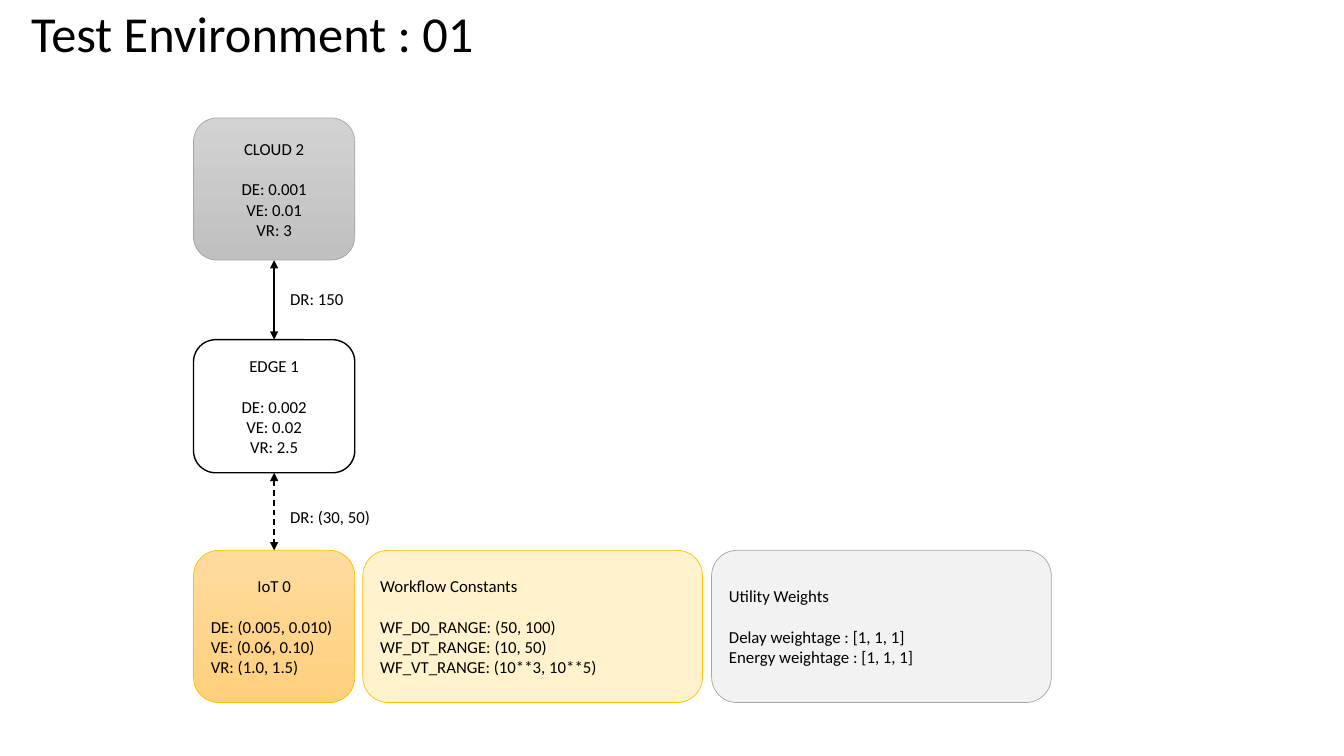
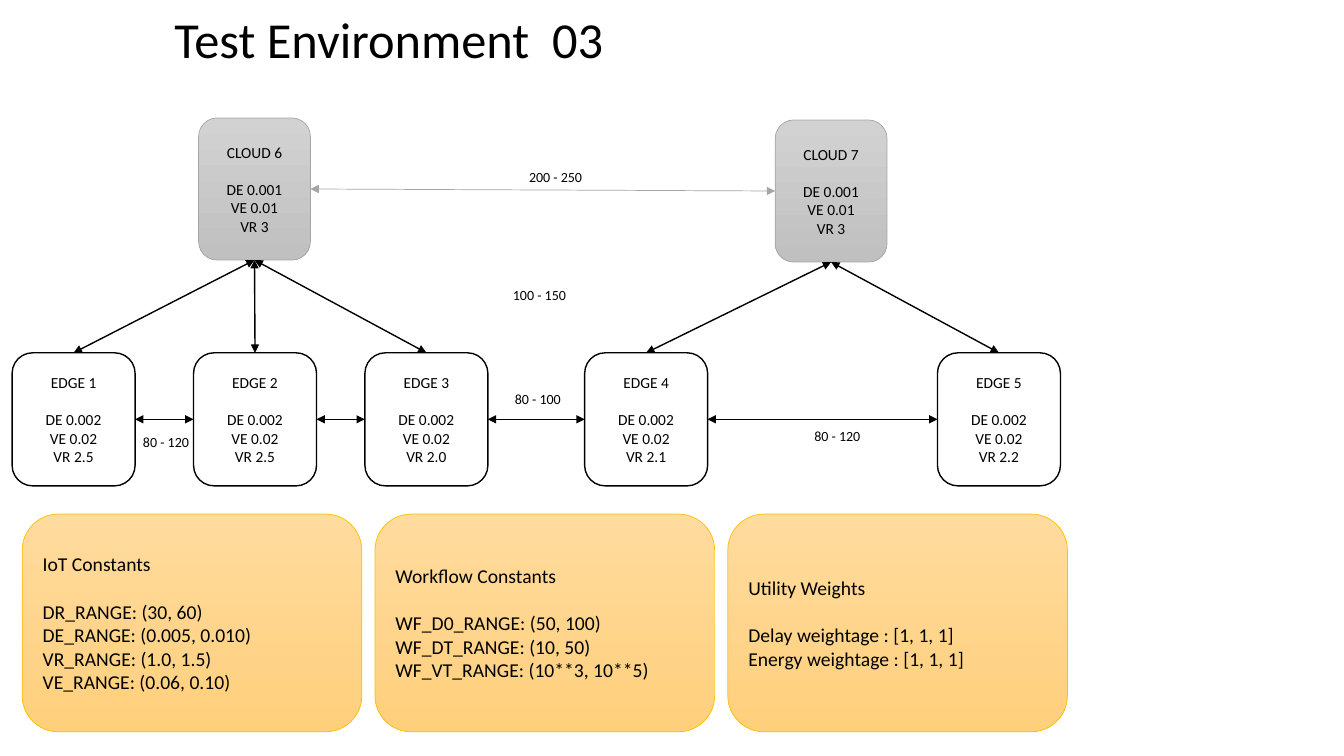
from dataclasses import dataclass
from itertools import pairwise
from typing import Any

from lxml.etree import SubElement
from pptx import Presentation
from pptx.dml.color import RGBColor
from pptx.enum.dml import MSO_LINE_DASH_STYLE as Dash
from pptx.enum.shapes import MSO_CONNECTOR as Link, MSO_SHAPE as Preset
from pptx.enum.text import MSO_ANCHOR as Anchor, MSO_AUTO_SIZE as AutoSize, PP_ALIGN as Align
from pptx.oxml.ns import qn
from pptx.shapes.autoshape import Shape
from pptx.slide import Slide
from pptx.util import Inches, Pt

BLACK = RGBColor(0x00, 0x00, 0x00)
WHITE = RGBColor(0xFF, 0xFF, 0xFF)
GREY = RGBColor(0xA5, 0xA5, 0xA5)
GREY_TOP = RGBColor(0xD2, 0xD2, 0xD2)
GREY_END = RGBColor(0xC0, 0xC0, 0xC0)
PALE_GREY = RGBColor(0xF2, 0xF2, 0xF2)
GOLD = RGBColor(0xFF, 0xC0, 0x00)
GOLD_TOP = RGBColor(0xFF, 0xDB, 0x9E)
GOLD_END = RGBColor(0xFF, 0xD0, 0x7C)
PALE_GOLD = RGBColor(0xFF, 0xF2, 0xCC)

FONT = "Calibri"
LINE_HEIGHT = 1.22
CELL = Inches(0.1)
COLUMNS, ROWS = 133.33, 75
TOP, LEFT, BOTTOM, RIGHT = range(4)


@dataclass(frozen=True)
class Area:
    col: float
    row: float
    cols: float
    rows: float

    def emu(self) -> tuple[int, ...]:
        return tuple(round(n * CELL) for n in (self.col, self.row, self.cols, self.rows))


@dataclass(frozen=True)
class Look:
    fills: tuple[RGBColor, ...]
    line: RGBColor
    width: float = 0.5
    preset: Any = Preset.FLOWCHART_ALTERNATE_PROCESS
    head_align: Any = Align.CENTER
    body_align: Any = Align.CENTER


@dataclass(frozen=True)
class Box:
    area: Area
    look: Look
    heading: str
    body: tuple[str, ...]
    size: int


@dataclass(frozen=True)
class Label:
    area: Area
    text: str
    size: int


PANEL = {"preset": Preset.ROUNDED_RECTANGLE, "head_align": Align.LEFT, "body_align": Align.LEFT}
CLOUD = Look((GREY_TOP, GREY_END), GREY)
EDGE = Look((WHITE,), BLACK, 1)
IOT = Look((GOLD_TOP, GOLD_END), GOLD, body_align=Align.LEFT)
GOLD_PANEL = Look((GOLD_TOP, GOLD_END), GOLD, **PANEL)
PALE_GOLD_PANEL = Look((PALE_GOLD,), GOLD, **PANEL)
PALE_GREY_PANEL = Look((PALE_GREY,), GREY, **PANEL)

WORKFLOW = ("Workflow Constants",
            ("WF_D0_RANGE: (50, 100)", "WF_DT_RANGE: (10, 50)", "WF_VT_RANGE: (10**3, 10**5)"))
WEIGHTS = ("Utility Weights", ("Delay weightage : [1, 1, 1]", "Energy weightage : [1, 1, 1]"))
IOT_RANGES = ("IoT Constants", ("DR_RANGE: (30, 60)", "DE_RANGE: (0.005, 0.010)",
                                "VR_RANGE: (1.0, 1.5)", "VE_RANGE: (0.06, 0.10)"))


def apply(target: Any, values: dict[str, Any]) -> None:
    for name, value in values.items():
        setattr(target, name, value)


def write(p: Any, text: str, size: int, align: Any = Align.LEFT) -> None:
    p.alignment = align
    r = p.add_run()
    r.text = text
    apply(r.font, {"name": FONT, "size": Pt(size)})
    r.font.color.rgb = BLACK


def readings(de: str, ve: str, vr: str, mark: str = "") -> tuple[str, ...]:
    return tuple(f"{key}{mark} {value}" for key, value in (("DE", de), ("VE", ve), ("VR", vr)))


def add_titled_slide(prs: Any, title: str, area: Area) -> Slide:
    s = prs.slides.add_slide(prs.slide_layouts[5])
    sp = s.shapes.title
    apply(sp, dict(zip(("left", "top", "width", "height"), area.emu())))
    tf = sp.text_frame
    apply(tf, {"word_wrap": False, "auto_size": AutoSize.SHAPE_TO_FIT_TEXT,
               "vertical_anchor": Anchor.TOP})
    write(tf.paragraphs[0], title, 36)
    return s


def add_box(s: Slide, box: Box) -> Shape:
    look = box.look
    sp = s.shapes.add_shape(look.preset, *box.area.emu())
    sp.shadow.inherit = False
    if len(look.fills) == 1:
        sp.fill.solid()
        sp.fill.fore_color.rgb = look.fills[0]
    else:
        sp.fill.gradient()
        sp.fill.gradient_angle = 270
        for stop, color in zip(sp.fill.gradient_stops, look.fills):
            stop.color.rgb = color
    sp.line.color.rgb = look.line
    sp.line.width = Pt(look.width)
    tf = sp.text_frame
    apply(tf, {"word_wrap": True, "vertical_anchor": Anchor.MIDDLE})
    heading = tf.paragraphs[0]
    write(heading, box.heading, box.size, look.head_align)
    heading.space_after = Pt(box.size * LINE_HEIGHT)
    for text in box.body:
        write(tf.add_paragraph(), text, box.size, look.body_align)
    return sp


def add_label(s: Slide, label: Label) -> None:
    tf = s.shapes.add_textbox(*label.area.emu()).text_frame
    apply(tf, {"word_wrap": True, "auto_size": AutoSize.SHAPE_TO_FIT_TEXT})
    write(tf.paragraphs[0], label.text, label.size)


def add_link(s: Slide, start: Shape, start_side: int, end: Shape, end_side: int,
             color: RGBColor = BLACK, width: float = 1, dash: Any = None) -> None:
    link = s.shapes.add_connector(Link.STRAIGHT, 0, 0, 0, 0)
    link.begin_connect(start, start_side)
    link.end_connect(end, end_side)
    link.line.color.rgb = color
    apply(link.line, {"width": Pt(width), "dash_style": dash})
    props = link._element.spPr
    for tip in ("a:headEnd", "a:tailEnd"):
        SubElement(props.find(qn("a:ln")), qn(tip), type="triangle")
    SubElement(props, qn("a:effectLst"))


def build_single_chain(prs: Any) -> None:
    s = add_titled_slide(prs, "Test Environment : 01", Area(2.1, -0.3, 46.3, 7.1))
    col, cols, size = 19.2, 16, 12
    stack = (
        (11.7, 14.1, CLOUD, "CLOUD 2", readings("0.001", "0.01", "3", ":")),
        (33.7, 13.2, EDGE, "EDGE 1", readings("0.002", "0.02", "2.5", ":")),
        (54.6, 15.1, IOT, "IoT 0", readings("(0.005, 0.010)", "(0.06, 0.10)", "(1.0, 1.5)", ":")),
    )
    cloud, edge, iot = (add_box(s, Box(Area(col, row, cols, rows), look, heading, body, size))
                        for row, rows, look, heading, body in stack)
    for i, (look, text) in enumerate(((PALE_GOLD_PANEL, WORKFLOW), (PALE_GREY_PANEL, WEIGHTS))):
        add_box(s, Box(Area(36 + 34.6 * i, 54.6, 33.7, 15.1), look, *text, size))
    add_link(s, cloud, BOTTOM, edge, TOP)
    add_link(s, edge, BOTTOM, iot, TOP, dash=Dash.DASH)
    for label in (Label(Area(27.8, 28.2, 7.4, 3), "DR: 150", size),
                  Label(Area(27.8, 49.8, 14.4, 3), "DR: (30, 50)", size)):
        add_label(s, label)


def build_two_clouds(prs: Any) -> None:
    s = add_titled_slide(prs, "Test Environment  03", Area(16.3, 0.3, 45, 7.1))
    size = 11
    clouds = [add_box(s, Box(Area(col, row, 11.1, 14.1), CLOUD, f"CLOUD {number}",
                             readings("0.001", "0.01", "3"), size))
              for number, col, row in ((6, 19.7, 11.7), (7, 76.9, 11.9))]
    edge_spots = ((1.2, "2.5"), (19.2, "2.5"), (36.2, "2.0"), (58, "2.1"), (93, "2.2"))
    edges = [add_box(s, Box(Area(col, 35, 12.2, 13.2), EDGE, f"EDGE {number}",
                            readings("0.002", "0.02", vr), size))
             for number, (col, vr) in enumerate(edge_spots, 1)]
    for cloud, members in zip(clouds, (edges[:3], edges[3:])):
        for edge in members:
            add_link(s, cloud, BOTTOM, edge, TOP)
    for near, far in pairwise(edges):
        add_link(s, near, RIGHT, far, LEFT)
    add_link(s, clouds[0], RIGHT, clouds[1], LEFT, GREY, 0.5)
    for i, text in enumerate((IOT_RANGES, WORKFLOW, WEIGHTS)):
        add_box(s, Box(Area(2.2 + 35 * i, 51, 33.7, 21.6), GOLD_PANEL, *text, 14))
    for col, row, cols, text in ((13.2, 42.5, 7.5, "80 - 120"), (49.9, 27.9, 9.4, "100 - 150"),
                                 (50.1, 38.3, 7.3, "80 - 100"), (51.5, 16.2, 7.8, "200 - 250"),
                                 (79.8, 41.9, 7.5, "80 - 120")):
        add_label(s, Label(Area(col, row, cols, 2.7), text, 10))


def main() -> None:
    prs = Presentation()
    apply(prs, {"slide_width": round(COLUMNS * CELL), "slide_height": ROWS * CELL})
    build_single_chain(prs)
    build_two_clouds(prs)
    prs.save("out.pptx")


main()
